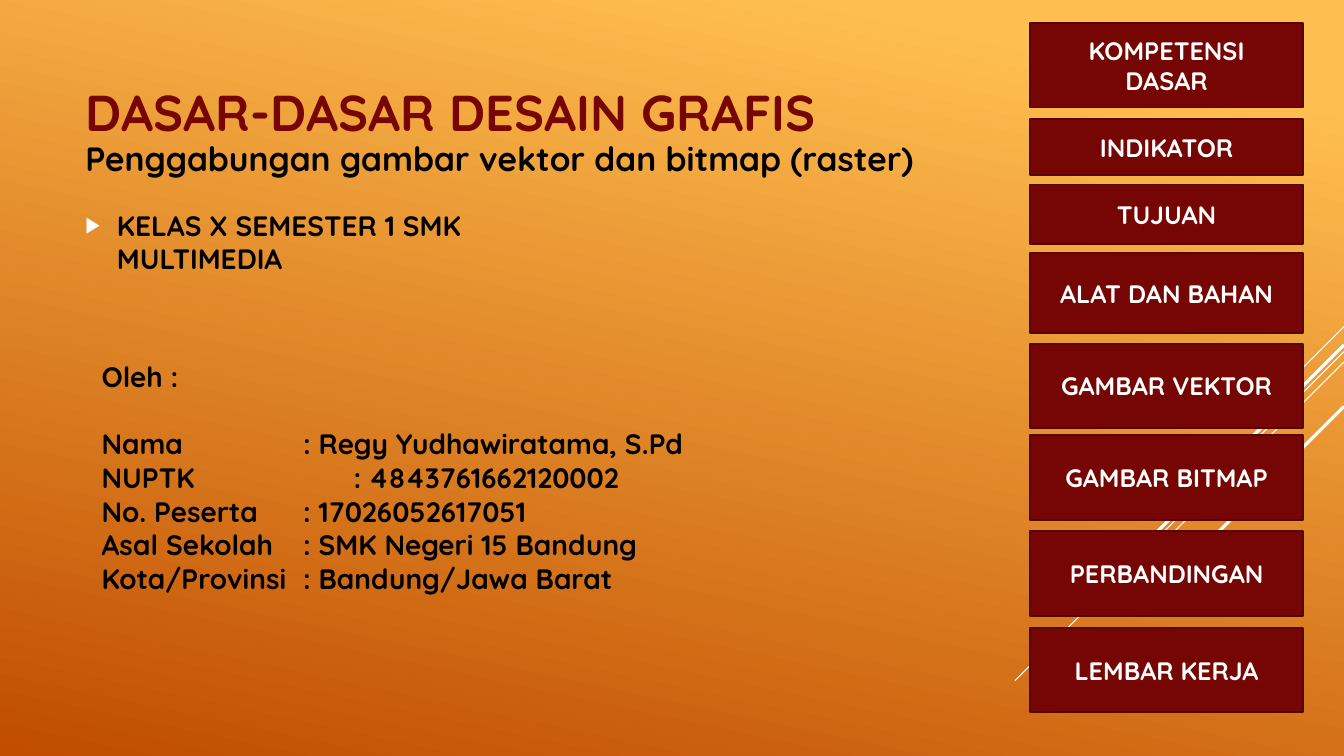
import lxml.etree
import pptx
import pptx.dml.color
import pptx.enum.shapes
import pptx.enum.text
import pptx.oxml.ns
import pptx.util

Cm = pptx.util.Cm
Pt = pptx.util.Pt
ALIGN = pptx.enum.text.PP_ALIGN
ANCHOR = pptx.enum.text.MSO_ANCHOR

COLORS = {
    "glow": "FFBF50",
    "ember": "C04D00",
    "maroon": "760603",
    "maroon_edge": "570402",
    "white": "FFFFFF",
    "black": "000000",
}
FONT = "Quicksand"
SLIDE_WIDTH, SLIDE_HEIGHT = 33.87, 19.05

STREAKS = [(8.23, 2.54, 0.75), (8.86, 8.29, 0.75), (9.12, 5.27, 0.75),
           (8.69, 4.85, 2.25), (10.24, 3.54, 2.25)]
MENU = [
    (["KOMPETENSI", "DASAR"], 0, 2.13),
    (["INDIKATOR"], 2.42, 1.42),
    (["TUJUAN"], 4.07, 1.5),
    (["ALAT DAN BAHAN"], 5.8, 2.01),
    (["GAMBAR VEKTOR"], 8.08, 2.13),
    (["GAMBAR BITMAP"], 10.39, 2.13),
    (["PERBANDINGAN"], 12.81, 2.13),
    (["LEMBAR KERJA"], 15.24, 2.13),
]
AUTHOR = [
    ("Nama", "Regy Yudhawiratama, S.Pd", 5.08),
    ("NUPTK", "4843761662120002", 6.35),
    ("No. Peserta", "17026052617051", 5.08),
    ("Asal Sekolah", "SMK Negeri 15 Bandung", 5.08),
    ("Kota/Provinsi", "Bandung/Jawa Barat", 5.08),
]


def rgb(name):
    """Return the named palette colour."""
    return pptx.dml.color.RGBColor.from_string(COLORS[name])


def add_xml(parent, tag, **attributes):
    """Append a DrawingML element with the given attributes."""
    return lxml.etree.SubElement(parent, pptx.oxml.ns.qn(tag), attributes)


def write(frame, lines, *, size, color="black", align=ALIGN.LEFT, anchor=ANCHOR.TOP):
    """Fill a text frame with bold paragraphs and return them."""
    frame.auto_size = pptx.enum.text.MSO_AUTO_SIZE.NONE
    frame.word_wrap = True
    frame.vertical_anchor = anchor
    for index, line in enumerate(lines):
        paragraph = frame.add_paragraph() if index else frame.paragraphs[0]
        paragraph.alignment = align
        run = paragraph.add_run()
        run.text = line
        run.font.name = FONT
        run.font.size = Pt(size)
        run.font.bold = True
        run.font.color.rgb = rgb(color)
    return frame.paragraphs


def place(part, box):
    """Move a placeholder to a box given in centimetres."""
    part.left, part.top, part.width, part.height = map(Cm, box)


def paint_background(slide):
    """Lay the orange gradient over the slide."""
    fill = slide.background.fill
    fill.gradient()
    fill.gradient_angle = 258
    for stop, (name, position) in zip(fill.gradient_stops, [("glow", 0.1), ("ember", 1)]):
        stop.color.rgb = rgb(name)
        stop.position = position


def draw_streaks(slide, right):
    """Draw the diagonal white streaks that leave the given right edge."""
    for top, run, weight in STREAKS:
        streak = slide.shapes.add_connector(
            pptx.enum.shapes.MSO_CONNECTOR.STRAIGHT,
            Cm(right), Cm(top), Cm(right - run), Cm(top + run))
        streak.line.color.rgb = rgb("white")
        streak.line.width = Pt(weight)
        add_xml(streak._element.spPr, "a:effectLst")


def build_heading(slide, box):
    """Place the title, the topic and the class line in the box."""
    left, top, width = box
    title = slide.shapes.title
    place(title, (left, top, width, 1.8))
    write(title.text_frame, ["DASAR-DASAR DESAIN GRAFIS"], size=36,
          color="maroon", anchor=ANCHOR.MIDDLE)

    topic = slide.shapes.add_textbox(Cm(left), Cm(top + 1.45), Cm(21.67), Cm(1.27))
    write(topic.text_frame, ["Penggabungan gambar vektor dan bitmap (raster)"], size=24)

    class_line = slide.placeholders[1]
    place(class_line, (left, top + 3.51, 14.12, 1.37))
    paragraph = write(class_line.text_frame, ["KELAS X SEMESTER 1 SMK MULTIMEDIA"],
                      size=20, anchor=ANCHOR.MIDDLE)[0]
    paragraph.space_after = Pt(6)
    properties = paragraph._p.get_or_add_pPr()
    indent = Cm(0.79)
    properties.set("marL", str(indent))
    properties.set("indent", str(-indent))
    add_xml(add_xml(properties, "a:buClr"), "a:srgbClr", val=COLORS["white"])
    add_xml(properties, "a:buSzPct", val="80000")
    add_xml(properties, "a:buChar", char="▶")


def build_author(slide, box):
    """List the author's details in the box, aligned by tab stops."""
    details = slide.shapes.add_textbox(*map(Cm, box))
    lines = ["Oleh :"] + [f"{label}\t: {value}" for label, value, _ in AUTHOR]
    heading, *rows = write(details.text_frame, lines, size=20)
    heading.space_after = Pt(24)
    for row, (_, _, stop) in zip(rows, AUTHOR):
        tabs = add_xml(row._p.get_or_add_pPr(), "a:tabLst")
        add_xml(tabs, "a:tab", pos=str(Cm(stop)), algn="l")


def build_menu(slide, box):
    """Stack the menu buttons down the box."""
    left, top, width = box
    for label, offset, height in MENU:
        button = slide.shapes.add_shape(
            pptx.enum.shapes.MSO_SHAPE.RECTANGLE,
            Cm(left), Cm(top + offset), Cm(width), Cm(height))
        button.shadow.inherit = False
        button.fill.solid()
        button.fill.fore_color.rgb = rgb("maroon")
        button.line.color.rgb = rgb("maroon_edge")
        button.line.width = Pt(1.25)
        write(button.text_frame, label, size=18, color="white",
              align=ALIGN.CENTER, anchor=ANCHOR.MIDDLE)


def main():
    """Build the opening slide and save it."""
    deck = pptx.Presentation()
    deck.slide_width, deck.slide_height = Cm(SLIDE_WIDTH), Cm(SLIDE_HEIGHT)
    slide = deck.slides.add_slide(deck.slide_layouts[1])
    paint_background(slide)
    draw_streaks(slide, SLIDE_WIDTH)
    build_heading(slide, (1.9, 1.9, 23.32))
    build_author(slide, (2.31, 8.94, 15.34, 7.01))
    build_menu(slide, (25.96, 0.58, 6.88))
    deck.save("out.pptx")


if __name__ == "__main__":
    main()
